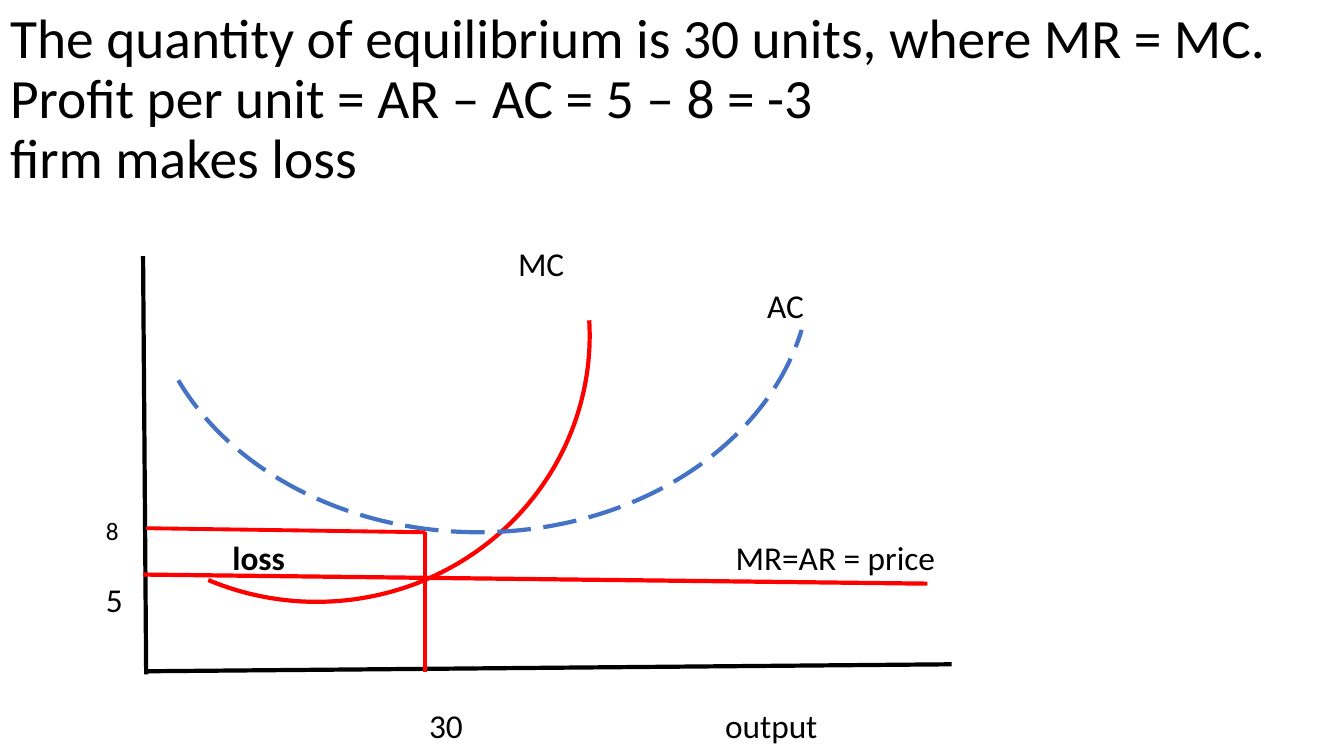
from lxml import etree
from pptx import Presentation
from pptx.dml.color import RGBColor
from pptx.enum.dml import MSO_LINE
from pptx.enum.shapes import MSO_CONNECTOR, MSO_SHAPE
from pptx.enum.text import MSO_ANCHOR, MSO_AUTO_SIZE, PP_ALIGN
from pptx.oxml.ns import qn
from pptx.util import Pt

BLACK = RGBColor(0, 0, 0)
RED = RGBColor(0xFF, 0, 0)
BLUE = RGBColor(0x44, 0x72, 0xC4)
STRAIGHT = MSO_CONNECTOR.STRAIGHT
ARC = MSO_SHAPE.ARC
LONG_DASH = MSO_LINE.LONG_DASH
MIDDLE = MSO_ANCHOR.MIDDLE
TOP = MSO_ANCHOR.TOP
NO_FIT = MSO_AUTO_SIZE.NONE
LEFT = PP_ALIGN.LEFT

ROW_TOP = 174
ROW_PITCH = 30


def apply(target, values):
    for key, value in values.items():
        setattr(target, key, value)


class CostDiagram:
    font = "Calibri"
    label_size = 23.8
    line_width = 3

    def __init__(self, slide):
        self.slide = slide

    def style_text(self, paragraph, size, bold=False):
        apply(paragraph.font, {"name": self.font, "size": Pt(size), "bold": bold})
        paragraph.font.color.rgb = BLACK

    def title(self, text, left, top, width, height):
        heading = self.slide.shapes.title
        apply(heading, {"left": Pt(left), "top": Pt(top),
                        "width": Pt(width), "height": Pt(height)})
        heading.text_frame.text = text
        apply(heading.text_frame, {"vertical_anchor": MIDDLE, "word_wrap": True,
                                   "auto_size": NO_FIT})
        paragraph = heading.text_frame.paragraphs[0]
        apply(paragraph, {"alignment": LEFT, "line_spacing": 0.9})
        self.style_text(paragraph, 39.6)

    def label(self, text, left, top, width, size=label_size, bold=False):
        box = self.slide.shapes.add_textbox(Pt(left), Pt(top), Pt(width), Pt(30))
        frame = box.text_frame
        apply(frame, {"margin_left": 0, "margin_right": 0, "margin_top": 0,
                      "margin_bottom": 0, "word_wrap": True, "vertical_anchor": TOP})
        frame.text = text
        self.style_text(frame.paragraphs[0], size, bold)

    def stroke(self, line, color, width, dash=None):
        line.color.rgb = color
        apply(line, {"width": Pt(width), "dash_style": dash})

    def line(self, start, end, color, width=line_width):
        connector = self.slide.shapes.add_connector(
            STRAIGHT, *(Pt(value) for value in (*start, *end)))
        self.stroke(connector.line, color, width)
        etree.SubElement(connector._element.spPr, qn("a:effectLst"))

    def curve(self, bounds, sweep, color, dash=None):
        arc = self.slide.shapes.add_shape(ARC, *(Pt(value) for value in bounds))
        arc.shadow.inherit = False
        arc.fill.background()
        for index, angle in enumerate(sweep):
            arc.adjustments[index] = angle
        arc._element.spPr.find(qn("a:xfrm")).set("flipV", "1")
        self.stroke(arc.line, color, self.line_width, dash)


def main():
    deck = Presentation()
    apply(deck, {"slide_width": Pt(960), "slide_height": Pt(540)})
    diagram = CostDiagram(deck.slides.add_slide(deck.slide_layouts[5]))

    diagram.title("The quantity of equilibrium is 30 units, where MR = MC.\v"
                  "Profit per unit = AR – AC = 5 – 8 = -3\v"
                  "firm makes loss", 0, 10, 960, 124)

    for text, row, left, width, bold in (
            ("MC", 0, 370, 60, False),
            ("AC", 1, 548, 60, False),
            ("loss", 7, 166, 60, True),
            ("MR=AR = price", 7, 525.5, 180, False),
            ("5", 8, 75.6, 24, False),
            ("30", 11, 306.5, 50, False),
            ("output", 11, 518, 100, False)):
        diagram.label(text, left, ROW_TOP + row * ROW_PITCH, width, bold=bold)

    diagram.line((102.2, 182.9), (104.4, 481.7), BLACK)
    diagram.curve((31, 49.7, 390.2, 380.2), (147.66, 1.94), RED)
    diagram.line((104.4, 479.5), (679.7, 474.5), BLACK)
    diagram.curve((104.4, 0, 475.2, 380.2), (120.49, 209.29), BLUE, LONG_DASH)

    cost_at_output = (303.8, 380.2)
    diagram.line((662.4, 416.9), (102.2, 410.4), RED)
    diagram.line(cost_at_output, (303.8, 480.2), RED)
    diagram.line(cost_at_output, (104.4, 377.3), RED, 2.75)
    diagram.label("8", 75.6, 368, 24, size=18)

    deck.save("out.pptx")


if __name__ == "__main__":
    main()
